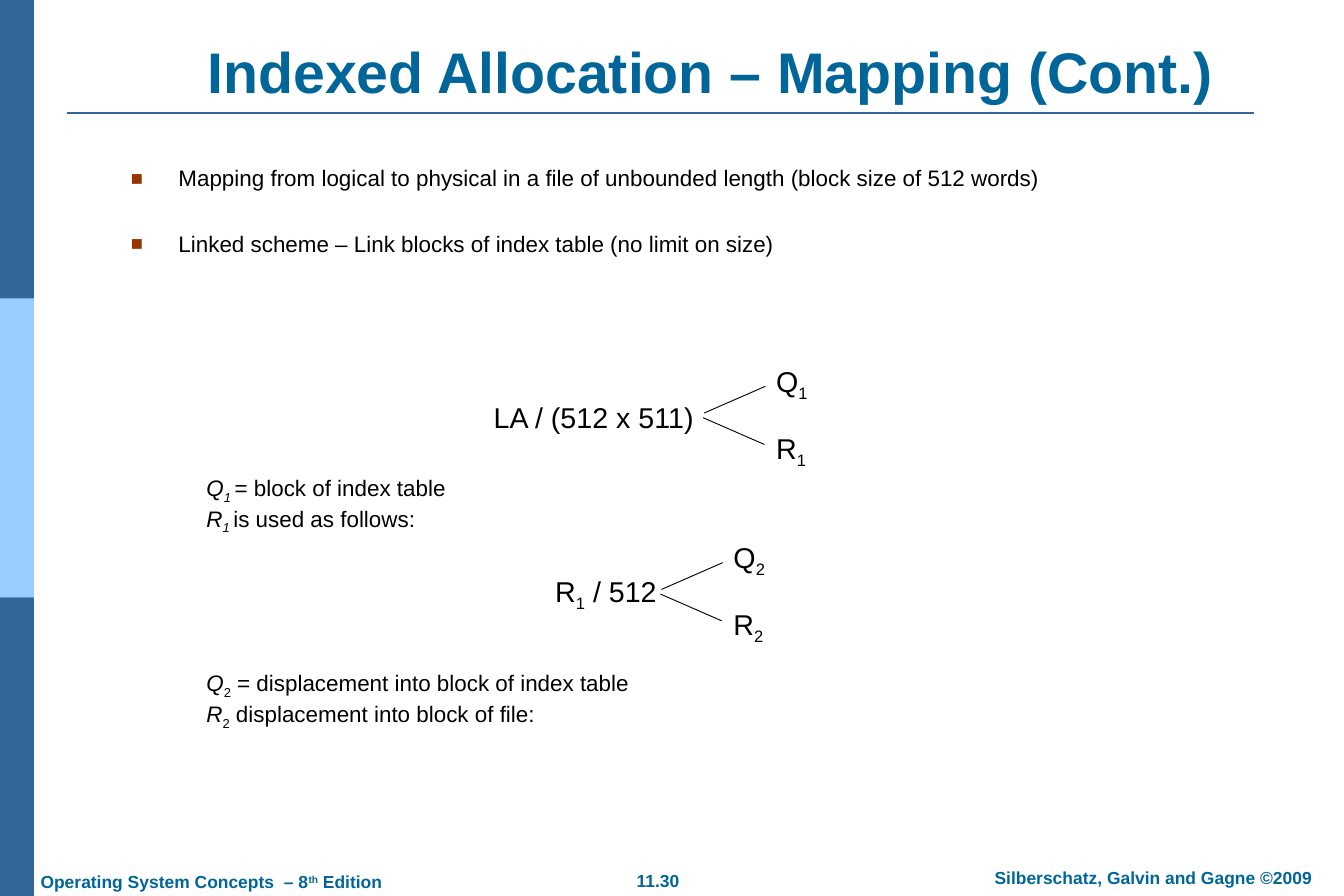
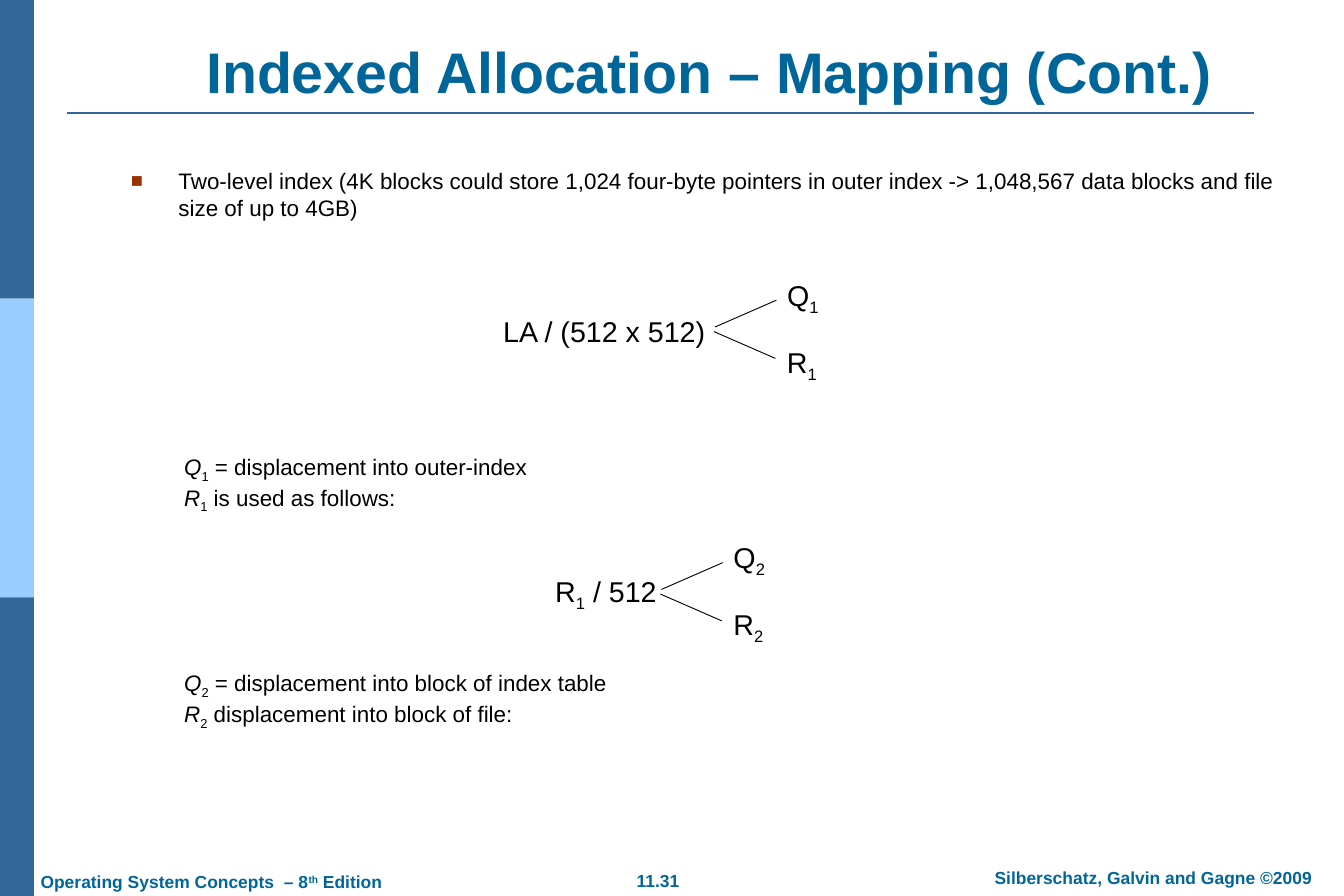
"""Build two slides on mapping logical addresses under indexed allocation."""
from dataclasses import dataclass

from lxml import etree
from pptx import Presentation
from pptx.dml.color import RGBColor
from pptx.enum.shapes import MSO_CONNECTOR, MSO_SHAPE
from pptx.enum.text import MSO_ANCHOR, MSO_AUTO_SIZE, PP_ALIGN
from pptx.oxml.ns import qn
from pptx.util import Cm, Pt

LEFT, CENTER = PP_ALIGN.LEFT, PP_ALIGN.CENTER
TOP, MIDDLE, BOTTOM = MSO_ANCHOR.TOP, MSO_ANCHOR.MIDDLE, MSO_ANCHOR.BOTTOM
NO_FIT = MSO_AUTO_SIZE.NONE
RECT, STRAIGHT = MSO_SHAPE.RECTANGLE, MSO_CONNECTOR.STRAIGHT


@dataclass(frozen=True)
class Theme:
    font: str = "Arial"
    title: RGBColor = RGBColor(0x00, 0x66, 0x99)
    band: RGBColor = RGBColor(0x33, 0x66, 0x99)
    band_light: RGBColor = RGBColor(0x99, 0xCC, 0xFF)
    text: RGBColor = RGBColor(0, 0, 0)
    bullet: str = "993300"
    title_size: int = 46
    formula_size: int = 23
    body_size: int = 18
    footer_size: int = 14


T = Theme()
TITLE = dict(size=T.title_size, color=T.title, bold=True, align=CENTER, anchor=BOTTOM, wrap=True)
FOOTER = dict(size=T.footer_size, color=T.title, bold=True, align=LEFT, anchor=TOP, wrap=False)
FOOTER_MID = {**FOOTER, "align": CENTER}
FORMULA = dict(size=T.formula_size, color=T.text, bold=False, align=CENTER, anchor=MIDDLE, wrap=False)
BODY = dict(size=T.body_size, color=T.text, bold=False, align=LEFT, anchor=TOP, wrap=True)
BASELINES = {"sub": "-25000", "sup": "30000"}


def write(sp, box, paragraphs, fmt):
    sp.left, sp.top, sp.width, sp.height = [Cm(v) for v in box]
    tf = sp.text_frame
    frame = dict(word_wrap=fmt["wrap"], auto_size=NO_FIT, vertical_anchor=fmt["anchor"],
                 margin_left=Cm(0.36), margin_right=Cm(0.36),
                 margin_top=Cm(0.18), margin_bottom=Cm(0.18))
    for name, value in frame.items():
        setattr(tf, name, value)
    for i, runs in enumerate(paragraphs):
        p = tf.add_paragraph() if i else tf.paragraphs[0]
        p.alignment = fmt["align"]
        for text, *styles in runs:
            r = p.add_run()
            r.text = text
            font = dict(name=T.font, size=Pt(fmt["size"]), bold=fmt["bold"], italic="italic" in styles)
            for name, value in font.items():
                setattr(r.font, name, value)
            r.font.color.rgb = fmt["color"]
            for style in styles:
                if style in BASELINES:
                    r.font._element.set("baseline", BASELINES[style])
    return tf


def line(s, x1, y1, x2, y2, color, width):
    c = s.shapes.add_connector(STRAIGHT, Cm(x1), Cm(y1), Cm(x2), Cm(y2))
    c.line.color.rgb = color
    c.line.width = Pt(width)
    etree.SubElement(c._element.spPr, qn("a:effectLst"))


INDEX_FORK = dict(box=(15.34, 3.68), branch=(18.75, 15.19), level="2",
                  formula=[("R",), ("1", "sub"), (" / 512",)])
INDEX_NOTES = (18.8, [
    [("Q", "italic"), ("2", "sub"), (" = displacement into block of index table",)],
    [("R", "italic"), ("2", "sub"), (" displacement into block of file:",)],
])
SLIDES = [
    dict(
        number="11.30", title_left=4.06, body_width=31.8, spacing=0.9, notes_left=4.14,
        bullets=["Mapping from logical to physical in a file of unbounded length (block size of 512 words)",
                 "Linked scheme – Link blocks of index table (no limit on size)"],
        fork=dict(box=(13.61, 6.45), branch=(19.96, 10.19), level="1",
                  formula=[("LA / (512 x 511)",)]),
        notes=(13.26, [
            [("Q", "italic"), ("1 ", "italic", "sub"), ("= block of index table",)],
            [("R", "italic"), ("1 ", "italic", "sub"), ("is used as follows:",)],
        ]),
    ),
    dict(
        number="11.31", title_left=3.99, body_width=34.29, spacing=1.0, notes_left=3.51,
        bullets=["Two-level index (4K blocks could store 1,024 four-byte pointers in outer index "
                 "-> 1,048,567 data blocks and file size of up to 4GB)"],
        fork=dict(box=(13.87, 6.53), branch=(20.27, 7.75), level="1",
                  formula=[("LA / (512 x 512)",)]),
        notes=(12.67, [
            [("Q", "italic"), ("1", "sub"), (" = displacement into outer-index",)],
            [("R", "italic"), ("1", "sub"), (" is used as follows:",)],
        ]),
    ),
]

prs = Presentation()
prs.slide_width, prs.slide_height = Cm(38.1), Cm(25.4)
band_height = prs.slide_height // 3

for data in SLIDES:
    s = prs.slides.add_slide(prs.slide_layouts[5])

    for i, color in enumerate([T.band, T.band_light, T.band]):
        sp = s.shapes.add_shape(RECT, 0, i * band_height, Cm(0.96), band_height)
        sp.shadow.inherit = False
        sp.fill.solid()
        sp.fill.fore_color.rgb = color
        sp.line.fill.background()
    line(s, 1.9, 3.2, 35.56, 3.2, T.band, 1.5)

    footers = [
        ((17.65, 24.49, 2.01, 0.97), [(data["number"],)], FOOTER_MID),
        ((27.05, 24.41, 11.3, 0.97), [("Silberschatz, Galvin and Gagne ©2009",)], FOOTER_MID),
        ((0.79, 24.51, 10.49, 0.97),
         [("Operating System Concepts  – 8",), ("th", "sup"), (" Edition",)], FOOTER),
    ]
    for box, runs, fmt in footers:
        write(s.shapes.add_textbox(0, 0, 0, 0), box, [runs], fmt)

    left = data["title_left"]
    write(s.shapes.title, (left, 1.02, 36.2 - left, 2.13),
          [[("Indexed Allocation – Mapping (Cont.)",)]], TITLE)

    tf = write(s.shapes.add_textbox(0, 0, 0, 0), (3.35, 4.57, data["body_width"], 2.13),
               [[(text,)] for text in data["bullets"]], BODY)
    for p in tf.paragraphs:
        p.line_spacing = data["spacing"]
        p.space_after = Pt(33)
        pPr = p._p.get_or_add_pPr()
        pPr.set("marL", str(Cm(1.35)))
        pPr.set("indent", str(Cm(-1.35)))
        color = etree.SubElement(pPr, qn("a:buClr"))
        etree.SubElement(color, qn("a:srgbClr"), val=T.bullet)
        etree.SubElement(pPr, qn("a:buSzPct"), val="90000")
        etree.SubElement(pPr, qn("a:buFont"), typeface=T.font)
        etree.SubElement(pPr, qn("a:buChar"), char="■")

    for fork in (data["fork"], INDEX_FORK):
        x, y = fork["branch"]
        left, width = fork["box"]
        labels = [
            ((left, y + 0.95, width, 1.35), fork["formula"]),
            ((x + 1.65, y, 1.68, 1.35), [("Q",), (fork["level"], "sub")]),
            ((x + 1.65, y + 1.9, 1.63, 1.35), [("R",), (fork["level"], "sub")]),
        ]
        for box, runs in labels:
            write(s.shapes.add_textbox(0, 0, 0, 0), box, [runs], FORMULA)
        line(s, x, y + 1.52, x + 1.74, y + 0.76, T.text, 0.75)
        line(s, x - 0.03, y + 1.65, x + 1.71, y + 2.41, T.text, 0.75)

    for top, paragraphs in (data["notes"], INDEX_NOTES):
        tf = write(s.shapes.add_textbox(0, 0, 0, 0), (data["notes_left"], top, 29.29, 2.74),
                   paragraphs, BODY)
        for p in tf.paragraphs:
            pPr = p._p.get_or_add_pPr()
            pPr.set("marL", str(Cm(2.49)))
            pPr.set("indent", str(Cm(-1.14)))

prs.save("out.pptx")
